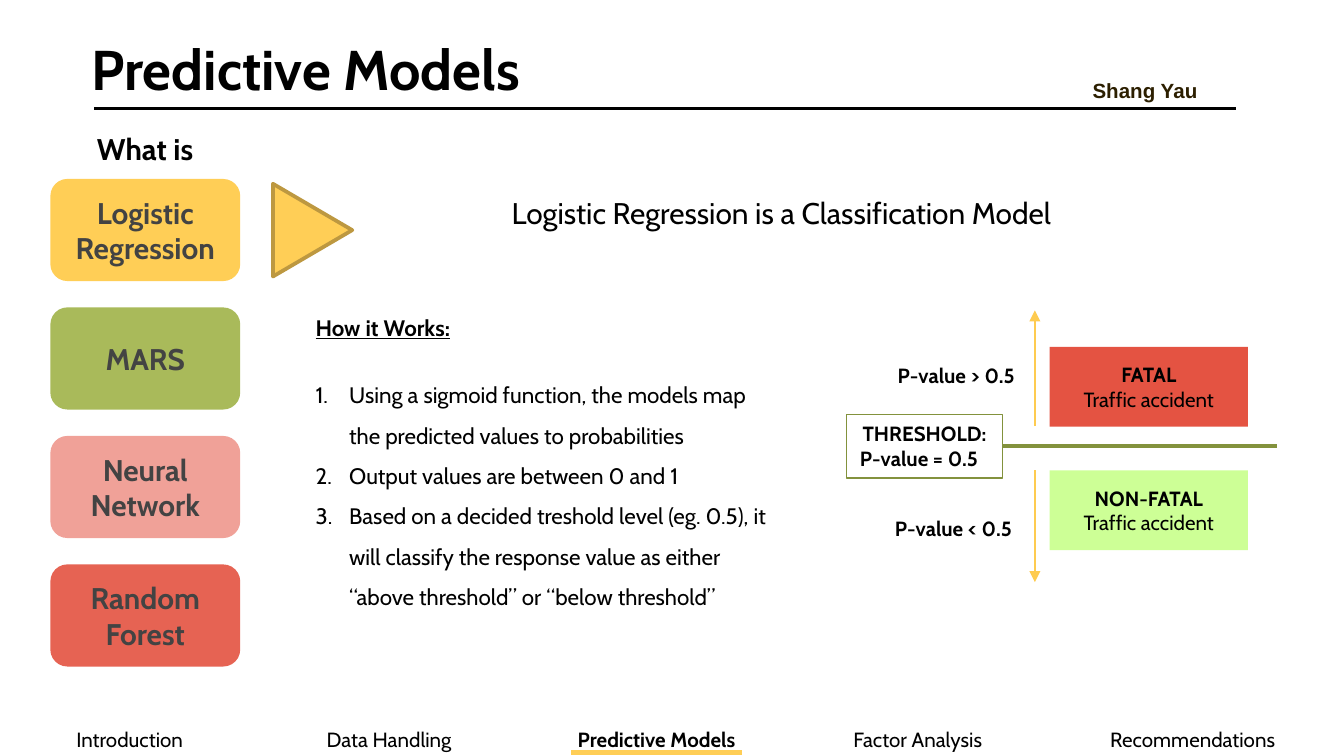
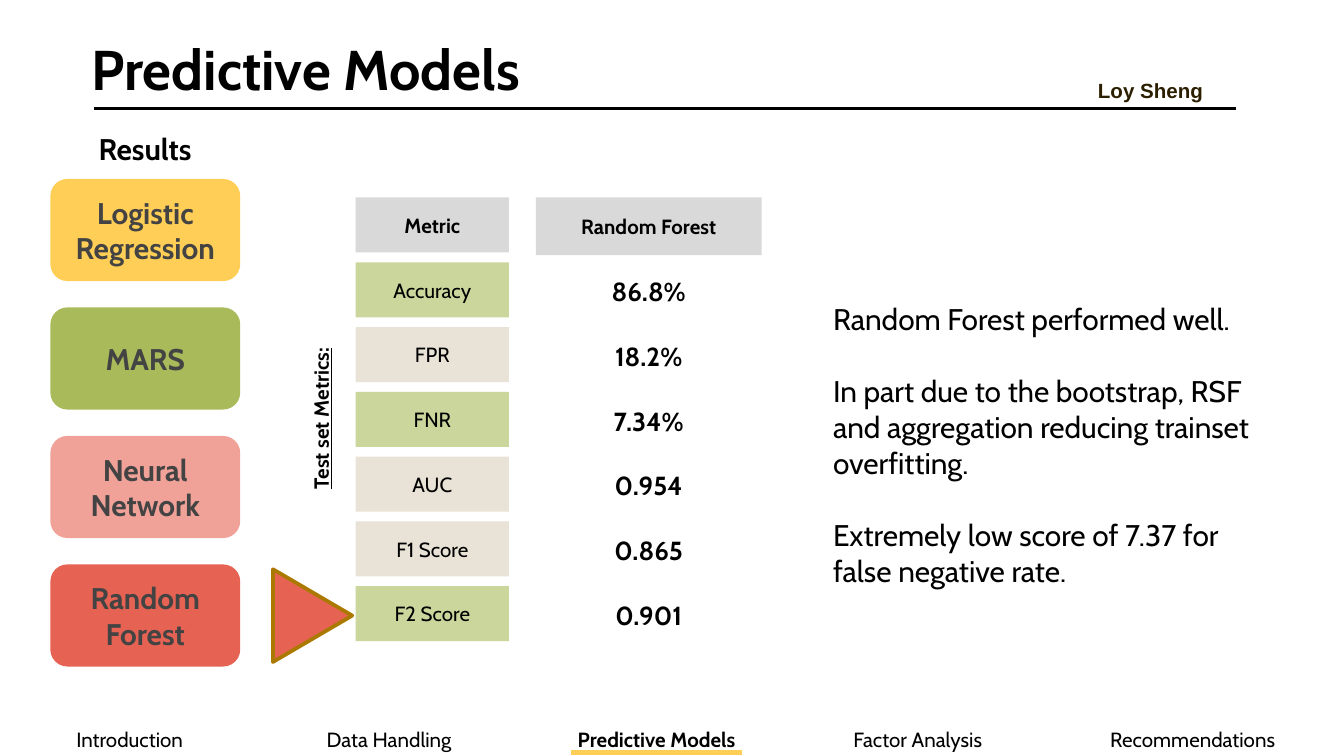
from dataclasses import dataclass
from lxml import etree
from pptx import Presentation
from pptx.dml.color import RGBColor
from pptx.enum import shapes, text
from pptx.oxml import ns
from pptx.util import Pt


@dataclass(frozen=True)
class Theme:
    face: str = "Cabin"
    presenter_face: str = "Arial"
    ink: str = "000000"
    pill_ink: str = "434343"
    presenter_ink: str = "2C1F00"
    yellow: str = "FFCE56"
    olive: str = "A9BA5A"
    pink: str = "F0A198"
    red: str = "E66353"
    yellow_edge: str = "BD9840"
    red_edge: str = "AB7900"
    threshold: str = "83923D"
    arrow: str = "FECB50"
    fatal: str = "E45342"
    non_fatal: str = "CDFF96"
    header: str = "D9D9D9"
    green_cell: str = "CBD69C"
    beige_cell: str = "E8E3D6"
    title_size: int = 30
    body_size: int = 16
    value_size: int = 14
    list_size: int = 12
    label_size: int = 11


@dataclass(frozen=True)
class Box:
    left: float
    top: float
    width: float
    height: float

    def inner(self, dx, dy, width, height):
        return Box(self.left + dx, self.top + dy, width, height)

    def points(self):
        return [Pt(v) for v in (self.left, self.top, self.width, self.height)]


T = Theme()
PAGE = Box(0, 0, 720, 405)
SECTIONS = {"Introduction": 139, "Data Handling": 139, "Predictive Models": 147.6,
            "Factor Analysis": 132.4, "Recommendations": 162}
CURRENT = "Predictive Models"
MODELS = {"Logistic\vRegression": T.yellow, "MARS": T.olive,
          "Neural Network": T.pink, "Random Forest": T.red}
CENTER = {"alignment": text.PP_ALIGN.CENTER}
MIDDLE = text.MSO_ANCHOR.MIDDLE
TOP = text.MSO_ANCHOR.TOP


def rgb(code):
    return RGBColor.from_string(code)


def apply(target, values):
    for key, value in values.items():
        setattr(target, key, value)


def write(paragraph, words, size=T.label_size, color=T.ink, face=T.face,
          layout=None, **style):
    paragraph.text = words
    apply(paragraph, layout or {})
    for run in paragraph.runs:
        apply(run.font, {"name": face, "size": Pt(size), **style})
        run.font.color.rgb = rgb(color)


def prepare(frame, anchor, inset):
    apply(frame, {"word_wrap": True, "vertical_anchor": anchor,
                  "margin_left": Pt(7.2), "margin_right": Pt(7.2),
                  "margin_top": Pt(inset), "margin_bottom": Pt(inset)})


def label(slide, box, words, anchor=TOP, inset=3.6, **style):
    holder = slide.shapes.add_textbox(*box.points())
    prepare(holder.text_frame, anchor, inset)
    write(holder.text_frame.paragraphs[0], words, **style)
    return holder


def block(slide, kind, box, fill=None, edge=None, edge_width=1):
    shape = slide.shapes.add_shape(kind, *box.points())
    shape.shadow.inherit = False
    if fill:
        shape.fill.solid()
        shape.fill.fore_color.rgb = rgb(fill)
    else:
        shape.fill.background()
    if edge:
        shape.line.color.rgb = rgb(edge)
        shape.line.width = Pt(edge_width)
    else:
        shape.line.fill.background()
    return shape


def captioned(slide, box, lines, fill=None, kind=shapes.MSO_SHAPE.RECTANGLE,
              anchor=MIDDLE, layout=CENTER, inset=3.6, edge=None, **style):
    shape = block(slide, kind, box, fill, edge, 0.75)
    frame = shape.text_frame
    prepare(frame, anchor, inset)
    for i, (words, bold) in enumerate(lines):
        paragraph = frame.add_paragraph() if i else frame.paragraphs[0]
        write(paragraph, words, layout=layout, bold=bold, **style)
    return shape


def stroke(slide, x1, y1, x2, y2, color, width, arrow=False):
    line = slide.shapes.add_connector(
        shapes.MSO_CONNECTOR.STRAIGHT, Pt(x1), Pt(y1), Pt(x2), Pt(y2))
    line.line.color.rgb = rgb(color)
    line.line.width = Pt(width)
    properties = line._element.spPr
    if arrow:
        outline = properties.find(ns.qn("a:ln"))
        etree.SubElement(outline, ns.qn("a:tailEnd"), type="triangle")
    etree.SubElement(properties, ns.qn("a:effectLst"))
    return line


def navigation(slide, box):
    table = slide.shapes.add_table(1, len(SECTIONS), *box.points()).table
    apply(table, {"first_row": False, "horz_banding": False})
    left = box.left
    for i, (section, width) in enumerate(SECTIONS.items()):
        table.columns[i].width = Pt(width)
        cell = table.cell(0, i)
        cell.fill.background()
        write(cell.text_frame.paragraphs[0], section, layout=CENTER,
              bold=section == CURRENT)
        if section == CURRENT:
            middle = left + width / 2
        left += width
    y = box.top + 17.3
    stroke(slide, middle - 45.7, y, middle + 45.7, y, T.yellow, 3)


def heading(slide, box, presenter, presenter_dx):
    label(slide, box, CURRENT, MIDDLE, 7.2, size=T.title_size, bold=True)
    y = box.top + 44.6
    stroke(slide, box.left + 8.6, y, box.left + 620.6, y, T.ink, 1.5)
    label(slide, box.inner(presenter_dx, 21.6, 75.6, 32.4), presenter, inset=7.2,
          face=T.presenter_face, color=T.presenter_ink, bold=True)


def model_menu(slide, box, topic, selected, edge):
    label(slide, box.inner(-22.7, -26.8, 146.9, 20.9), topic, MIDDLE, 7.2,
          size=T.body_size, bold=True, layout=CENTER)
    height = 54.7
    pitch = (box.height - height) / (len(MODELS) - 1)
    for i, (model, color) in enumerate(MODELS.items()):
        captioned(slide, box.inner(0, i * pitch, box.width, height), [(model, True)],
                  color, shapes.MSO_SHAPE.FLOWCHART_ALTERNATE_PROCESS,
                  inset=7.2, size=T.body_size, color=T.pill_ink)
        if model == selected:
            pointer = box.inner(115.6, i * pitch + height / 2 - 21.2, 49.7, 42.5)
            block(slide, shapes.MSO_SHAPE.ISOSCELES_TRIANGLE, pointer,
                  color, edge, 2).rotation = 90


def how_it_works(slide, box, steps):
    holder = label(slide, box, "How it Works:", MIDDLE, 7.2,
                   size=T.list_size, bold=True, underline=True)
    frame = holder.text_frame
    frame.margin_bottom = Pt(20.6)
    for i, step in enumerate(steps):
        paragraph = frame.add_paragraph()
        properties = paragraph._p.get_or_add_pPr()
        properties.set("marL", str(Pt(18)))
        properties.set("indent", str(-Pt(18)))
        etree.SubElement(properties, ns.qn("a:buFont"), typeface=T.face)
        etree.SubElement(properties, ns.qn("a:buAutoNum"), type="arabicPeriod")
        write(paragraph, step, size=T.list_size,
              layout={"line_spacing": 1.5, "space_before": Pt(0 if i else 14.6)})


def threshold_diagram(slide, box):
    middle = box.height / 2
    threshold = captioned(
        slide, box.inner(0, middle - 17, 83.5, 34),
        [("THRESHOLD:", True), ("P-value = 0.5", True)],
        edge=T.threshold, anchor=TOP, layout=None)
    y = box.top + middle
    divider = stroke(slide, box.left + 83.5, y, box.left + box.width, y,
                     T.threshold, 2.25)
    divider.begin_connect(threshold, 3)
    outcomes = [("FATAL", T.fatal, 19.5, "P-value > 0.5", 20.2, 24.5, 62, 0),
                ("NON-FATAL", T.non_fatal, 85.7, "P-value < 0.5", 18.7, 106.6,
                 85.7, box.height)]
    for outcome, fill, top, rule, rule_dx, rule_dy, start, end in outcomes:
        captioned(slide, box.inner(108.7, top, 106.3, 42.8),
                  [(outcome, True), ("Traffic accident", False)], fill)
        label(slide, box.inner(rule_dx, rule_dy, 105, 20.9), rule, bold=True)
        x = box.left + 100.8
        stroke(slide, x, box.top + start, x, box.top + end, T.arrow, 0.75, True)


def metrics(slide, box, scores):
    pitch, height, width = 34.7, 29.5, 82.1
    label(slide, box.inner(-138.2, 105.9, 237.6, 25.2), "Test set Metrics:",
          inset=7.2, layout=CENTER, bold=True, underline=True).rotation = 270
    captioned(slide, box.inner(0, 0, width, height), [("Metric", True)], T.header)
    captioned(slide, box.inner(96.5, 0, box.width - 96.5, 31), [("Random Forest", True)],
              T.header)
    for row, (metric, score, fill) in enumerate(scores, 1):
        captioned(slide, box.inner(0, row * pitch, width, height), [(metric, False)], fill)
        label(slide, box.inner(115.9, row * pitch + 3.6, width, 24.5), score,
              size=T.value_size, bold=True, layout=CENTER)


def findings(slide, box, remarks):
    frame = label(slide, box, remarks[0], size=T.body_size).text_frame
    for remark in remarks[1:]:
        write(frame.add_paragraph(), remark, size=T.body_size,
              layout={"space_before": Pt(19.4)})


def model_slide(deck, presenter, presenter_dx, topic, selected, edge):
    slide = deck.slides.add_slide(deck.slide_layouts[6])
    navigation(slide, PAGE.inner(0, 385.9, PAGE.width, 29.5))
    heading(slide, PAGE.inner(41.8, 13.7, 607, 45.4), presenter, presenter_dx)
    model_menu(slide, PAGE.inner(27, 95.9, 101.7, 261.2), topic, selected, edge)
    return slide


def explanation_slide(deck):
    slide = model_slide(deck, "Shang Yau", 536.4, "What is",
                        "Logistic\vRegression", T.yellow_edge)
    label(slide, PAGE.inner(223.9, 103.7, 389.5, 20.9),
          "Logistic Regression is a Classification Model", MIDDLE, 7.2,
          size=T.body_size, layout=CENTER)
    how_it_works(slide, PAGE.inner(162, 186.5, 263.5, 135.4), [
        "Using a sigmoid function, the models map the predicted values to probabilities",
        "Output values are between 0 and 1",
        "Based on a decided treshold level (eg. 0.5), it will classify the response "
        "value as either “above threshold” or “below threshold”"])
    threshold_diagram(slide, PAGE.inner(453.6, 166.3, 230.4, 145.6))


def results_slide(deck):
    slide = model_slide(deck, "Loy Sheng", 539.3, "Results",
                        "Random Forest", T.red_edge)
    metrics(slide, PAGE.inner(190.6, 105.8, 217.4, 237.7), [
        ("Accuracy", "86.8%", T.green_cell), ("FPR", "18.2%", T.beige_cell),
        ("FNR", "7.34%", T.green_cell), ("AUC", "0.954", T.beige_cell),
        ("F1 Score", "0.865", T.beige_cell), ("F2 Score", "0.901", T.green_cell)])
    findings(slide, PAGE.inner(439.2, 157.7, 244.8, 162.7), [
        "Random Forest performed well.",
        "In part due to the bootstrap, RSF and aggregation reducing trainset overfitting.",
        "Extremely low score of 7.37 for false negative rate."])


def main():
    deck = Presentation()
    apply(deck, {"slide_width": Pt(PAGE.width), "slide_height": Pt(PAGE.height)})
    explanation_slide(deck)
    results_slide(deck)
    deck.save("out.pptx")


if __name__ == "__main__":
    main()
